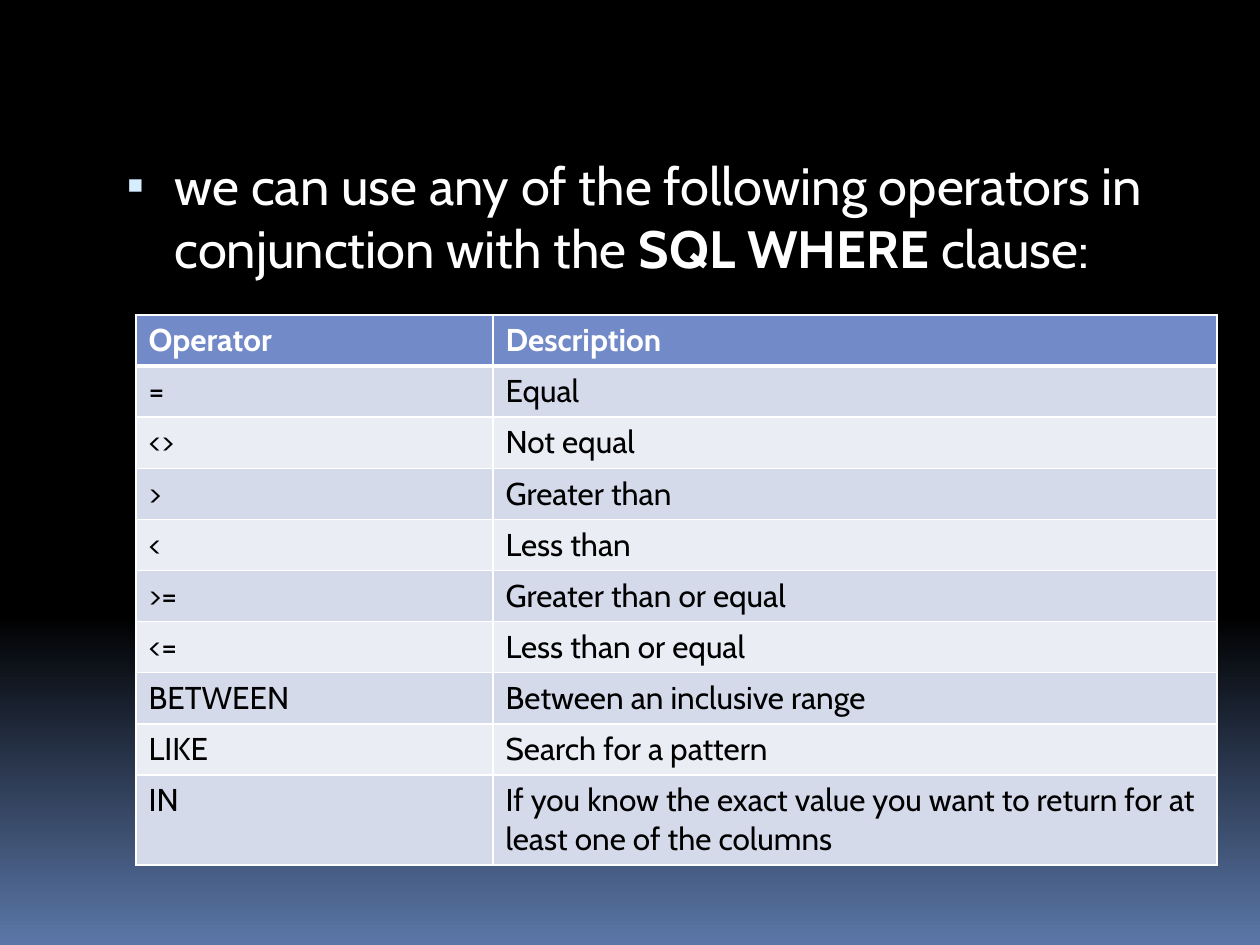
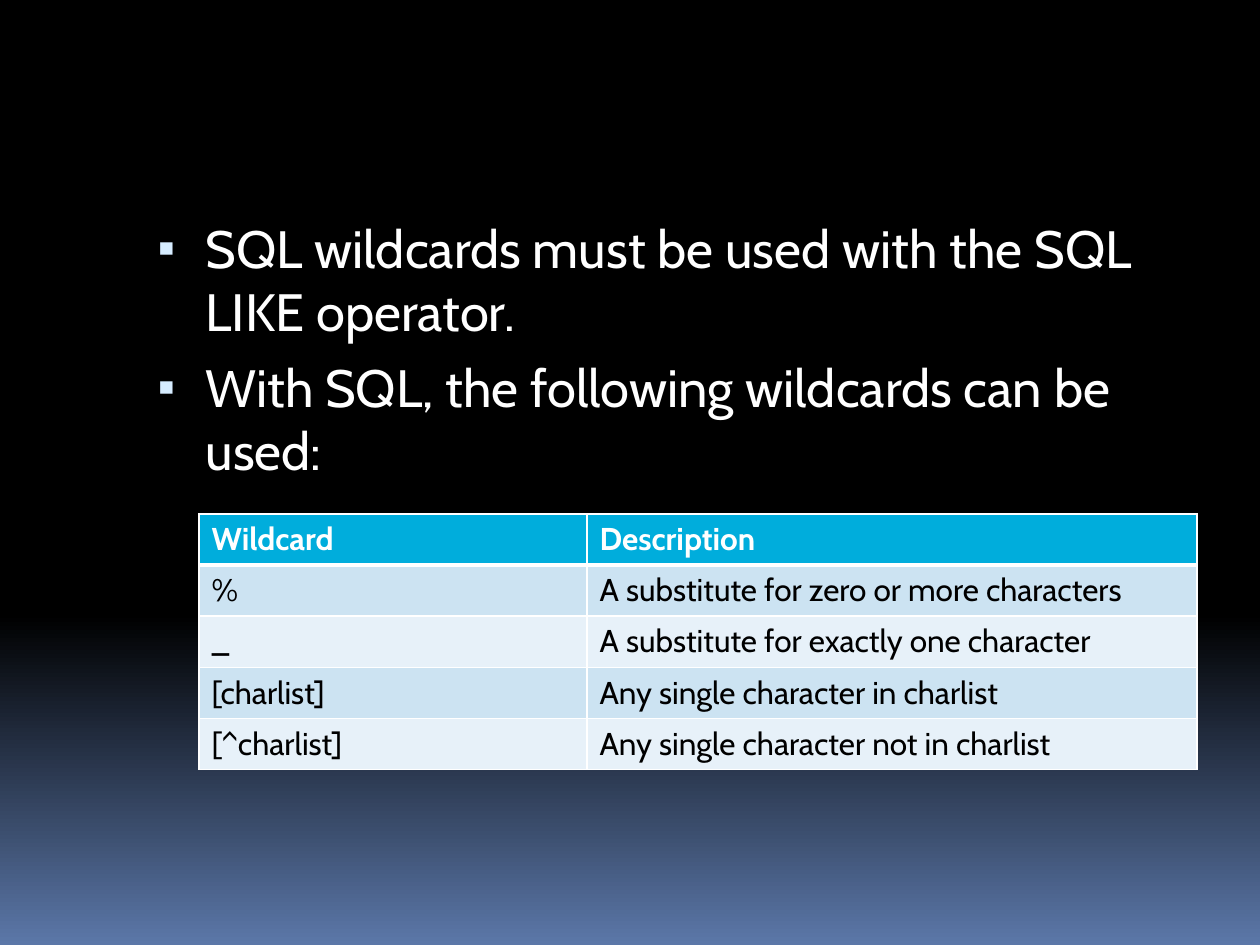
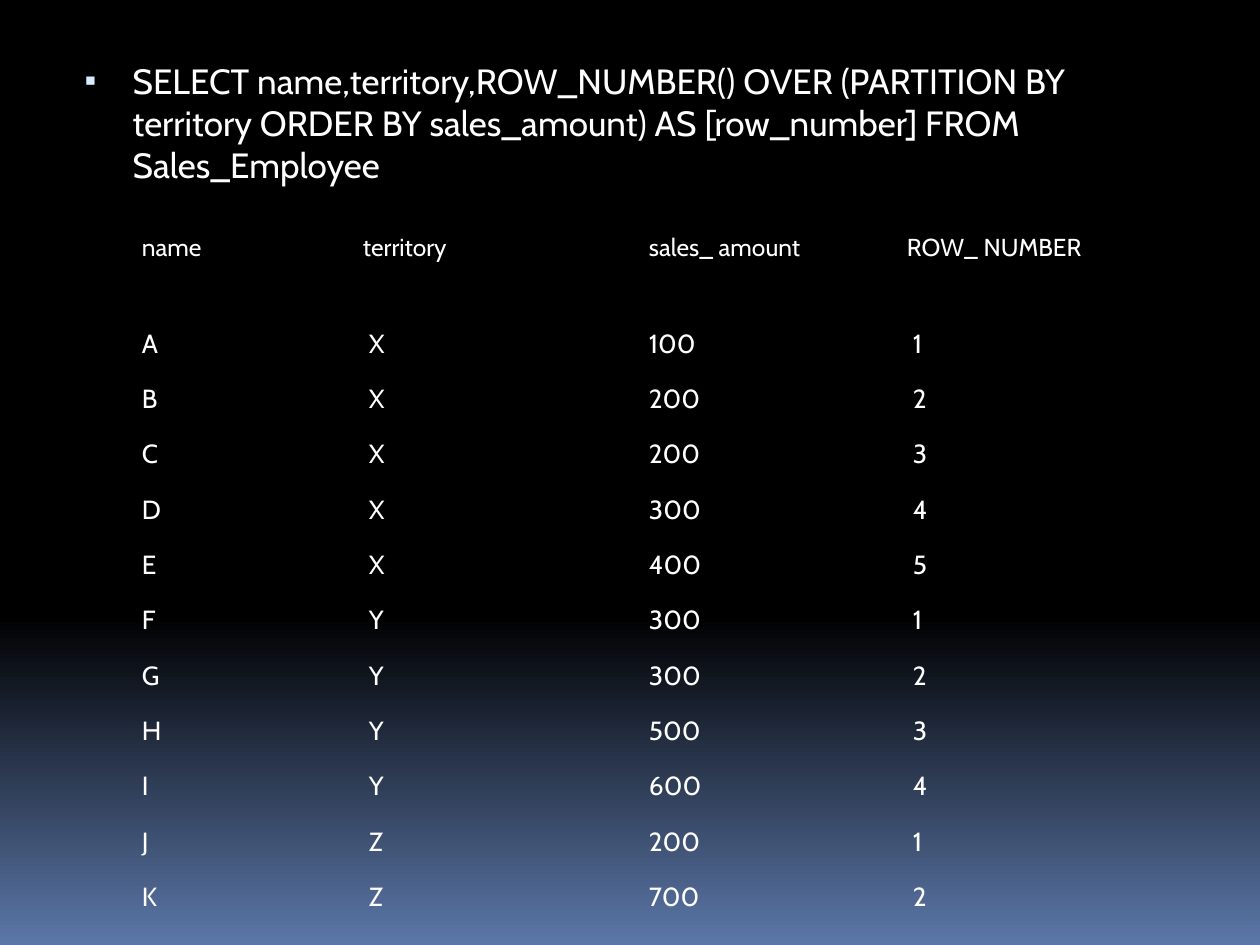
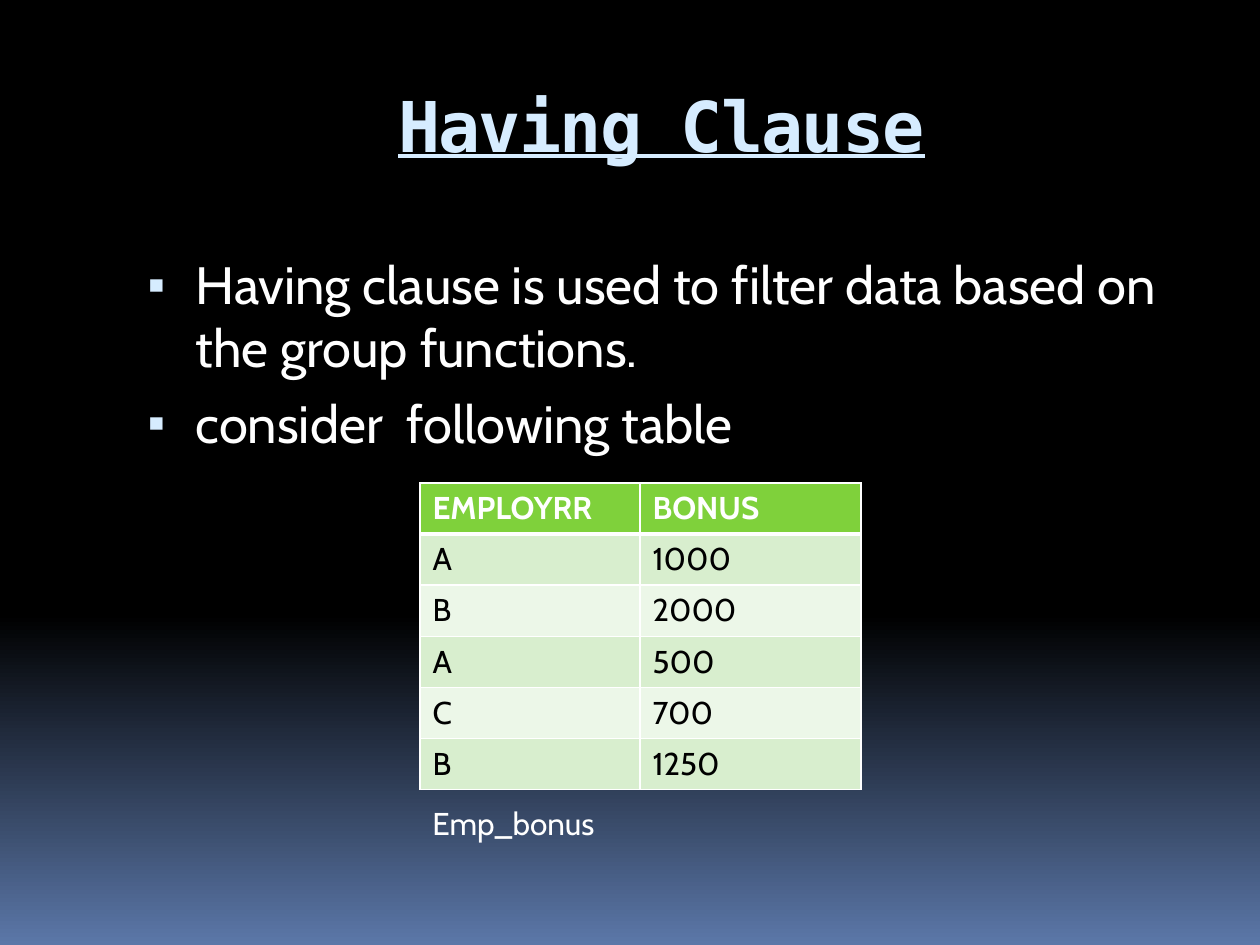
from lxml import etree
from copy import deepcopy
from pptx import Presentation
from pptx import util as u
from pptx.dml.color import RGBColor
from pptx.enum import text
from pptx.oxml import ns

COLOURS = {
    "black": "000000", "glow": "5B77A8", "white": "FFFFFF", "ice": "D6ECFF",
    "violet": "738AC8", "violet_dark": "D5DAEB", "violet_light": "EBEDF5",
    "cyan": "00ADDC", "cyan_dark": "CCE3F2", "cyan_light": "E7F1F9",
    "green": "7FD13B", "green_dark": "D8EECE", "green_light": "ECF7E8",
}
FONT, TITLE_FONT = "Cabin", "DejaVu Sans Mono"
NO_STYLE = "{2D5ABB26-0587-4C30-8999-92F81FD0307C}"
ROW = 51

OPERATORS = [
    ("Operator", "Description"),
    ("=", "Equal"),
    ("<>", "Not equal"),
    (">", "Greater than"),
    ("<", "Less than"),
    (">=", "Greater than or equal"),
    ("<=", "Less than or equal"),
    ("BETWEEN", "Between an inclusive range"),
    ("LIKE", "Search for a pattern"),
    ("IN", "If you know the exact value you want to return for at least one of the columns"),
]
WILDCARDS = [
    ("Wildcard", "Description"),
    ("%", "A substitute for zero or more characters"),
    ("_", "A substitute for exactly one character"),
    ("[charlist]", "Any single character in charlist"),
    ("[^charlist]", "Any single character not in charlist"),
]
SALES = [
    ("name", "territory", "sales_ amount", "ROW_ NUMBER"),
    ("A", "X", "100", "1"),
    ("B", "X", "200", "2"),
    ("C", "X", "200", "3"),
    ("D", "X", "300", "4"),
    ("E", "X", "400", "5"),
    ("F", "Y", "300", "1"),
    ("G", "Y", "300", "2"),
    ("H", "Y", "500", "3"),
    ("I", "Y", "600", "4"),
    ("J", "Z", "200", "1"),
    ("K", "Z", "700", "2"),
]
BONUSES = [
    ("EMPLOYRR", "BONUS"),
    ("A", "1000"),
    ("B", "2000"),
    ("A", "500"),
    ("C", "700"),
    ("B", "1250"),
]


def px(length):
    """Turn pixels into EMU."""
    return u.Emu(round(length * 914400 / 126))


def rgb(name):
    """Look up a named colour."""
    return RGBColor.from_string(COLOURS[name])


def add_element(parent, tag, position=None, **attributes):
    """Add a DrawingML element to its parent."""
    element = etree.Element(ns.qn(tag), attributes)
    parent.insert(len(parent) if position is None else position, element)
    return element


def style_font(font, size, colour, bold=False, name=FONT):
    """Set the look of a run or paragraph font."""
    font.name, font.size, font.bold = name, u.Pt(size), bold
    font.color.rgb = rgb(colour)


def place(shape, box):
    """Move a shape to its box."""
    shape.left, shape.top, shape.width, shape.height = map(px, box)


def paint_background(master):
    """Give the master its black to blue gradient."""
    fill = master.background.fill
    fill.gradient()
    fill.gradient_angle = 270
    for stop, position, colour in zip(fill.gradient_stops, (0, 1), ("black", "glow")):
        stop.position = position
        stop.color.rgb = rgb(colour)
    stops = master.element.find(".//" + ns.qn("p:bgPr")).find(".//" + ns.qn("a:gsLst"))
    middle = deepcopy(stops[0])
    middle.set("pos", "65000")
    stops.insert(1, middle)


def add_page(deck):
    """Add a title and content page."""
    return deck.slides.add_slide(deck.slide_layouts[1])


def drop_title(page):
    """Remove the unused title placeholder."""
    title = page.shapes.title.element
    title.getparent().remove(title)


def fill_title(page, box, wording):
    """Write the centred, underlined title."""
    title = page.shapes.title
    place(title, box)
    frame = title.text_frame
    frame.text = wording
    frame.auto_size = text.MSO_AUTO_SIZE.NONE
    frame.vertical_anchor = text.MSO_ANCHOR.TOP
    frame.margin_top = px(12)
    para = frame.paragraphs[0]
    para.alignment = text.PP_ALIGN.CENTER
    span = para.runs[0]
    style_font(span.font, 40, "ice", True, TITLE_FONT)
    span.font.underline = True
    span.font._element.set("spc", "-100")


def fill_body(page, box, items, size=30):
    """Write the bulleted list; words between asterisks are bold."""
    body = page.placeholders[1]
    place(body, box)
    frame = body.text_frame
    frame.auto_size = text.MSO_AUTO_SIZE.NONE
    for number, item in enumerate(items):
        para = frame.add_paragraph() if number else frame.paragraphs[0]
        layout = para._p.get_or_add_pPr()
        layout.set("marL", str(px(57)))
        layout.set("indent", str(-px(48)))
        colour = add_element(layout, "a:buClr")
        add_element(colour, "a:srgbClr", val=COLOURS["ice"])
        add_element(layout, "a:buSzPct", val="95000")
        add_element(layout, "a:buChar", char="▪")
        para.space_before = u.Pt(7 if number else 0)
        for piece, wording in enumerate(item.split("*")):
            span = para.add_run()
            span.text = wording
            style_font(span.font, size, "white", piece % 2 == 1)


def add_grid(page, box, columns, heights, rows):
    """Add an unstyled table whose last column fills the box."""
    left, top, width, height = box
    frame = page.shapes.add_table(len(rows), len(rows[0]), *map(px, box))
    grid = frame.table
    frame._element.find(".//" + ns.qn("a:tableStyleId")).text = NO_STYLE
    for column, size in zip(grid.columns, [*columns, width - sum(columns)]):
        column.width = px(size)
    for line, size, values in zip(grid.rows, heights, rows):
        line.height = px(size)
        for cell, value in zip(line.cells, values):
            cell.text = value
    return grid


def add_border(cell, widths):
    """Draw white left, right, top and bottom cell borders."""
    properties = cell._tc.get_or_add_tcPr()
    for position, (side, width) in enumerate(zip("LRTB", widths)):
        line = add_element(properties, f"a:ln{side}", position, w=str(u.Pt(width)))
        solid = add_element(line, "a:solidFill")
        add_element(solid, "a:srgbClr", val=COLOURS["white"])


def add_banded_table(page, box, first_column, hue, rows):
    """Add a table with a coloured header and alternating bands."""
    heights = [ROW] * (len(rows) - 1)
    heights.append(box[3] - sum(heights))
    grid = add_grid(page, box, [first_column], heights, rows)
    for number, line in enumerate(grid.rows):
        header = number == 0
        band = hue if header else hue + ("_dark" if number % 2 else "_light")
        for cell in line.cells:
            cell.fill.solid()
            cell.fill.fore_color.rgb = rgb(band)
            add_border(cell, (1, 1, 3 if number == 1 else 1, 3 if header else 1))
            span = cell.text_frame.paragraphs[0].runs[0]
            style_font(span.font, 18, "white" if header else "black", header)


def add_plain_table(page, box, columns, header_height, rows):
    """Add a table of white text without fills or borders."""
    row_height = (box[3] - header_height) / (len(rows) - 1)
    heights = [header_height] + [row_height] * (len(rows) - 1)
    grid = add_grid(page, box, columns, heights, rows)
    for number, line in enumerate(grid.rows):
        for column, cell in enumerate(line.cells):
            flush = number == 0 and column % 2 == 1
            cell.fill.background()
            cell.vertical_anchor = text.MSO_ANCHOR.MIDDLE
            cell.margin_left = px(10 if flush else 16)
            cell.margin_right = px(10)
            cell.margin_top = cell.margin_bottom = px(5)
            span = cell.text_frame.paragraphs[0].runs[0]
            style_font(span.font, 15 if number else 14, "white")


def add_caption(page, box, wording):
    """Add a small white label."""
    frame = page.shapes.add_textbox(*map(px, box)).text_frame
    frame.word_wrap = True
    frame.text = wording
    style_font(frame.paragraphs[0].runs[0].font, 18, "white")


def build_operators(deck):
    """Build the page of WHERE operators."""
    page = add_page(deck)
    drop_title(page)
    fill_body(page, (105, 147, 1071, 630), [
        "we can use any of the following operators in conjunction with the *SQL WHERE* clause:",
    ])
    add_banded_table(page, (136, 315, 1081, 549), 357, "violet", OPERATORS)


def build_wildcards(deck):
    """Build the page of LIKE wildcards."""
    page = add_page(deck)
    drop_title(page)
    fill_body(page, (136, 210, 1071, 280), [
        "SQL wildcards must be used with the SQL LIKE operator.",
        "With SQL, the following wildcards can be used:",
    ])
    add_banded_table(page, (199, 514, 998, 255), 388, "cyan", WILDCARDS)


def build_row_numbers(deck):
    """Build the page of the ROW_NUMBER query and its result."""
    page = add_page(deck)
    drop_title(page)
    fill_body(page, (63, 53, 1134, 823), [
        "SELECT name,territory,ROW_NUMBER() OVER (PARTITION BY territory "
        "ORDER BY sales_amount) AS [row_number] FROM Sales_Employee",
    ], 20)
    add_plain_table(page, (126, 179, 1061, 746), (227, 280, 264), 137, SALES)


def build_having(deck):
    """Build the page of the having clause."""
    page = add_page(deck)
    fill_title(page, (126, 71, 1071, 126), "Having Clause")
    fill_body(page, (126, 246, 1071, 630), [
        "Having clause is used to filter data based on the group functions.",
        "consider  following table",
    ])
    add_banded_table(page, (420, 483, 441, 306), 220, "green", BONUSES)
    add_caption(page, (420, 798, 231, 89), "Emp_bonus")


def main():
    """Build and save the deck."""
    deck = Presentation()
    deck.slide_width, deck.slide_height = px(1260), px(945)
    paint_background(deck.slide_master)
    for build in (build_operators, build_wildcards, build_row_numbers, build_having):
        build(deck)
    deck.save("out.pptx")


if __name__ == "__main__":
    main()
